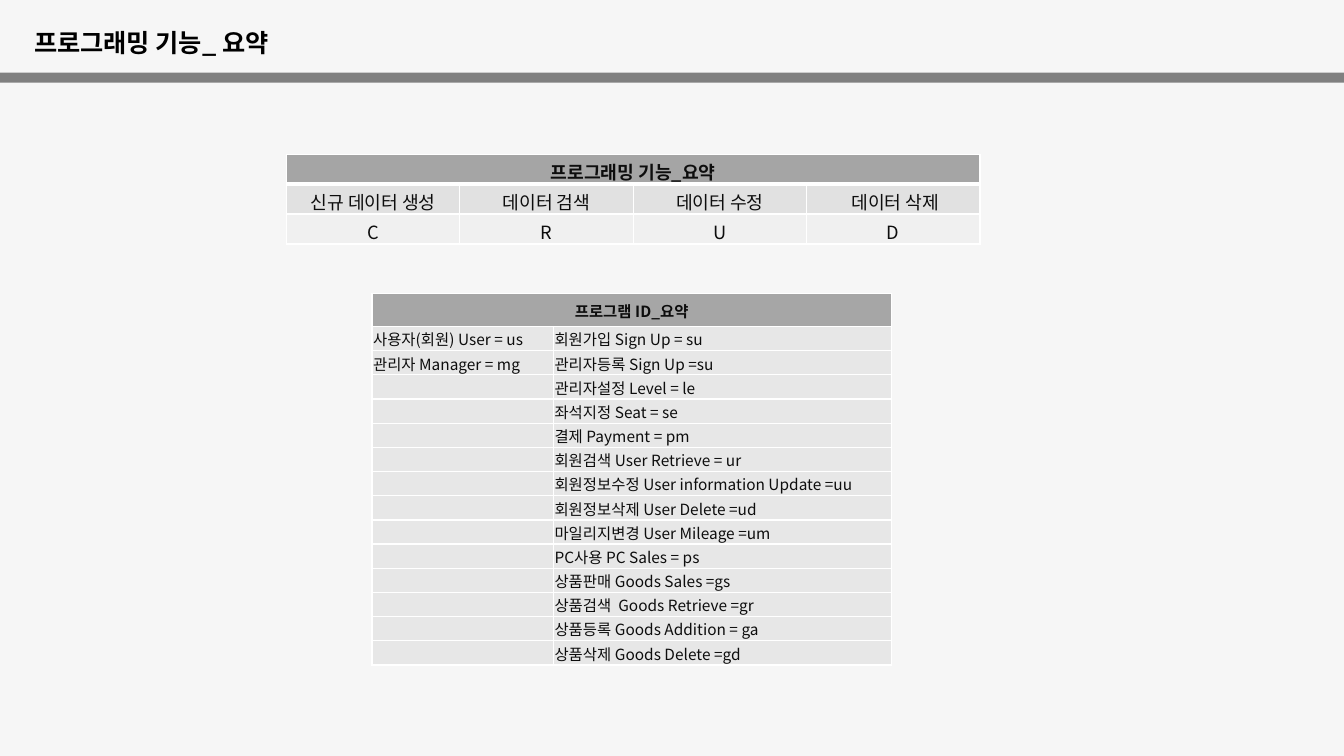
from lxml import etree
from pptx import Presentation
from pptx.dml.color import RGBColor
from pptx.enum.shapes import MSO_SHAPE
from pptx.enum.text import MSO_ANCHOR, MSO_AUTO_SIZE, PP_ALIGN
from pptx.oxml.ns import qn
from pptx.util import Inches, Pt

RECT = MSO_SHAPE.RECTANGLE
TOP, MIDDLE = MSO_ANCHOR.TOP, MSO_ANCHOR.MIDDLE
LEFT, CENTER = PP_ALIGN.LEFT, PP_ALIGN.CENTER
GROW = MSO_AUTO_SIZE.SHAPE_TO_FIT_TEXT

FONT = "Noto Sans CJK KR"
PAPER = RGBColor(0xF6, 0xF6, 0xF6)
BLACK = RGBColor(0x00, 0x00, 0x00)
INK = RGBColor(0x0D, 0x0D, 0x0D)
WHITE = RGBColor(0xFF, 0xFF, 0xFF)
BAR = RGBColor(0x80, 0x80, 0x80)
HEAD = RGBColor(0xA5, 0xA5, 0xA5)
LIGHT = RGBColor(0xE1, 0xE1, 0xE1)
PALE = RGBColor(0xF0, 0xF0, 0xF0)
ID_HEAD = RGBColor(0xA6, 0xA6, 0xA6)
ID_BODY = RGBColor(0xE7, 0xE7, 0xE7)

CRUD = [
    ["프로그래밍 기능_요약"],
    ["신규 데이터 생성", "데이터 검색", "데이터 수정", " 데이터 삭제"],
    ["C", "R", "U", "D"],
]
USERS = ["사용자(회원) User = us", "관리자 Manager = mg"]
TASKS = [
    "회원가입 Sign Up = su",
    "관리자등록 Sign Up =su",
    "관리자설정 Level = le",
    "좌석지정 Seat = se",
    "결제 Payment = pm",
    "회원검색 User Retrieve = ur",
    "회원정보수정 User information Update =uu",
    "회원정보삭제 User Delete =ud",
    "마일리지변경 User Mileage =um",
    "PC사용 PC Sales = ps",
    "상품판매 Goods Sales =gs",
    "상품검색  Goods Retrieve =gr",
    "상품등록 Goods Addition = ga",
    "상품삭제 Goods Delete =gd",
]


def style(para, size, color, bold=False, align=LEFT):
    para.alignment = align
    font = para.font
    font.name, font.size, font.bold = FONT, Pt(size), bold
    font.color.rgb = color
    latin = para._p.pPr.find(qn("a:defRPr")).find(qn("a:latin"))
    east = etree.Element(qn("a:ea"), typeface=FONT)
    latin.addnext(east)


def add_title(slide, text):
    box = slide.shapes.add_textbox(Inches(0.24), Inches(0.22), Inches(2.89), Inches(0.4))
    frame = box.text_frame
    frame.word_wrap = True
    frame.auto_size = GROW
    frame.text = text
    style(frame.paragraphs[0], 18, BLACK, bold=True)


def add_bar(slide):
    bar = slide.shapes.add_shape(RECT, 0, Inches(0.72), Inches(13.33), Inches(0.1))
    bar.shadow.inherit = False
    bar.fill.solid()
    bar.fill.fore_color.rgb = BAR
    bar.line.fill.background()


def set_edges(cell, base):
    props = cell._tc.get_or_add_tcPr()
    for side, width in (("L", 1), ("R", 1), ("T", 1), ("B", base)):
        line = etree.SubElement(props, qn(f"a:ln{side}"), w=str(Pt(width)))
        fill = etree.SubElement(line, qn("a:solidFill"))
        etree.SubElement(fill, qn("a:srgbClr"), val=str(WHITE))


def fill_cell(cell, text, color, size, bold, align, anchor, insets, base):
    set_edges(cell, base)
    cell.fill.solid()
    cell.fill.fore_color.rgb = color
    cell.vertical_anchor = anchor
    cell.margin_left, cell.margin_top, cell.margin_right, cell.margin_bottom = map(Inches, insets)
    para = cell.text_frame.paragraphs[0]
    if text:
        para.text = text
    else:
        end = etree.SubElement(para._p, qn("a:endParaRPr"))
        end.set("sz", str(size * 100))
    style(para, size, INK, bold, align)


def add_grid(slide, left, top, widths, heights, data, fills, size, align, anchor, insets, base=1):
    frame = slide.shapes.add_table(
        len(heights), len(widths), Inches(left), Inches(top),
        Inches(sum(widths)), Inches(sum(heights)))
    table = frame.table
    for col, width in zip(table.columns, widths):
        col.width = Inches(width)
    for row, height in zip(table.rows, heights):
        row.height = Inches(height)
    table.cell(0, 0).merge(table.cell(0, len(widths) - 1))
    for r, (texts, color) in enumerate(zip(data, fills)):
        head = r == 0
        for c, text in enumerate(texts):
            fill_cell(table.cell(r, c), text, color, size, head,
                      CENTER if head else align, anchor, insets, base if head else 1)


def main():
    deck = Presentation()
    deck.slide_width, deck.slide_height = Inches(13.33), Inches(7.5)
    slide = deck.slides.add_slide(deck.slide_layouts[6])
    slide.background.fill.solid()
    slide.background.fill.fore_color.rgb = PAPER
    add_title(slide, "프로그래밍 기능_ 요약")
    add_grid(slide, 2.84, 1.53, [1.72] * 4, [0.29] * 3, CRUD, [HEAD, LIGHT, PALE],
             13, CENTER, TOP, (0.07, 0.04, 0.07, 0.04), base=3)
    add_bar(slide)
    blanks = [""] * (len(TASKS) - len(USERS))
    rows = [["프로그램 ID_요약"], *zip(USERS + blanks, TASKS)]
    count = len(TASKS)
    add_grid(slide, 3.69, 2.91, [1.8, 3.35], [0.33] + [0.24] * count, rows,
             [ID_HEAD] + [ID_BODY] * count, 11, LEFT, MIDDLE, (0.01, 0.01, 0.01, 0))
    deck.save("out.pptx")


if __name__ == "__main__":
    main()
